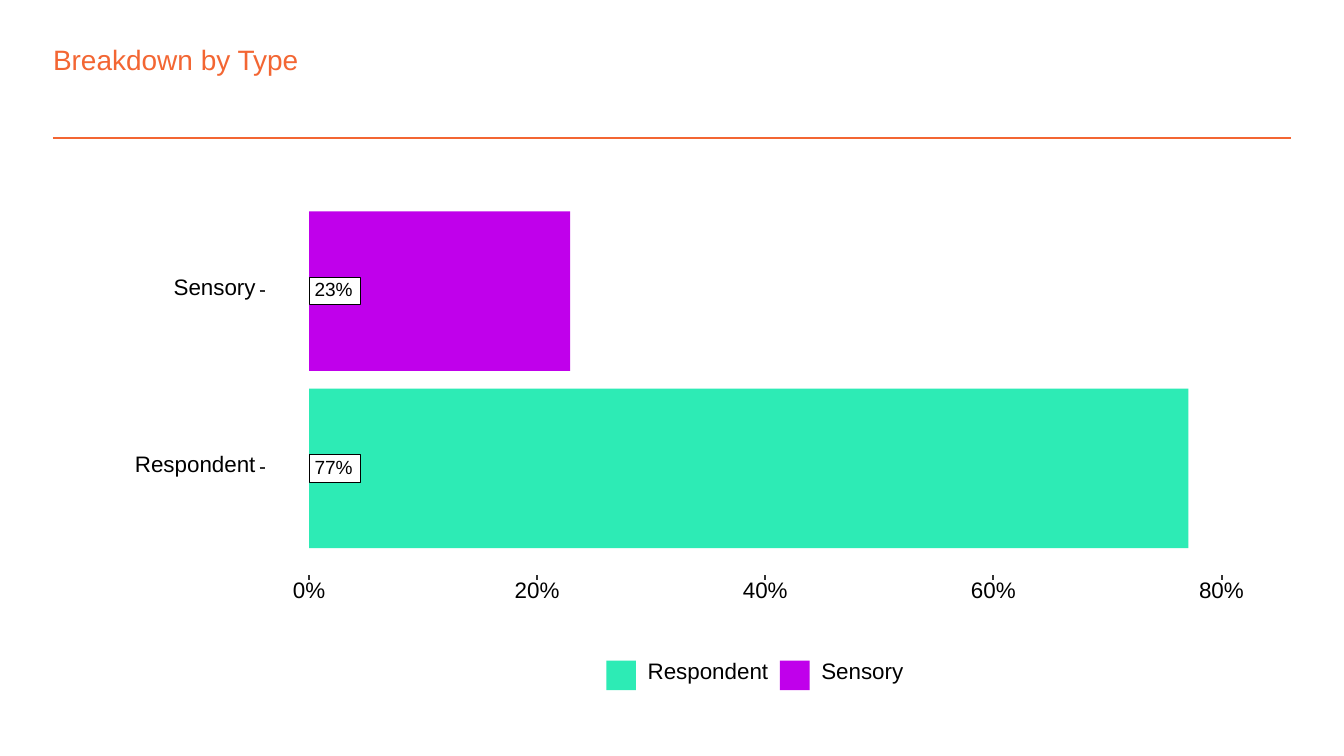
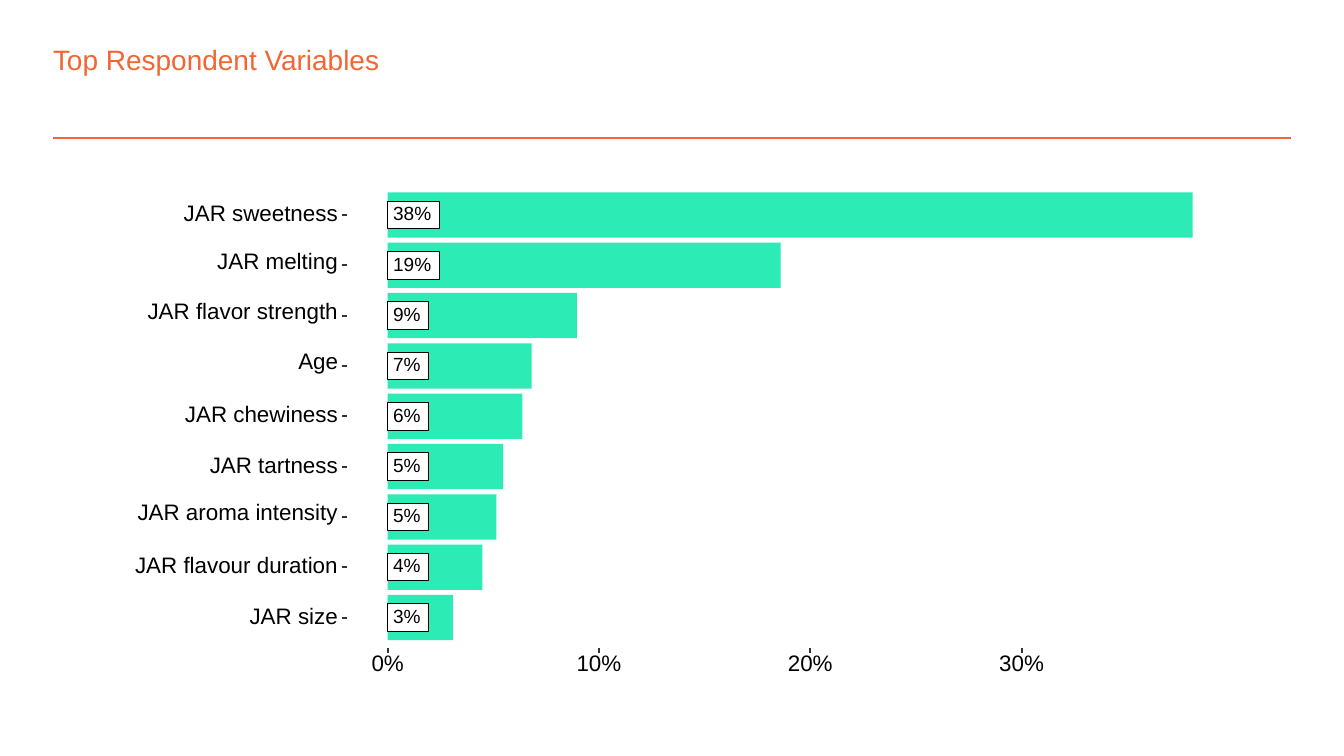
import pptx
import pptx.dml.color
import pptx.enum.shapes
import pptx.enum.text
import pptx.oxml.ns
import pptx.util
from lxml import etree

Pt = pptx.util.Pt
FONT = "Arial"
COLORS = {
    "accent": "F36633",
    "respondent": "2DEBB5",
    "sensory": "C000EB",
    "white": "FFFFFF",
    "black": "000000",
    "tick": "333333",
}
RGB = {name: pptx.dml.color.RGBColor.from_string(value) for name, value in COLORS.items()}

# Text and bar sizes shared by both charts
LABEL_SIZE = 12
VALUE_SIZE = 10.2
BAR_SHARE = 0.9
TICK_LENGTH = 2.7
TAG_HEIGHT = 14.7
TAG_PADDING = 2.9
KEY_SIZE = 15.9
TEXT_SLACK = 0.6

# Width of each category name at the label size
NAME_WIDTHS = {
    "Respondent": 64.7, "Sensory": 44, "JAR sweetness": 82.7, "JAR melting": 64.7,
    "JAR flavor strength": 102, "Age": 21.3, "JAR chewiness": 82, "JAR tartness": 68.7,
    "JAR aroma intensity": 107.4, "JAR flavour duration": 108.7, "JAR size": 47.4,
}

CHARTS = [
    {
        "title": "Breakdown by Type",
        "rows": [("Sensory", 22.9, "sensory"), ("Respondent", 77.1, "respondent")],
        "base": 165.6, "per_percent": 6.11, "first_row": 156, "row_step": 95,
        "row_tick": 139.1, "axis_top": 308.2, "axis_values": range(0, 81, 20),
        "legend": [("Respondent", "respondent", 324.8), ("Sensory", "sensory", 417.8)],
    },
    {
        "title": "Top Respondent Variables",
        "rows": [(name, value, "respondent") for name, value in [
            ("JAR sweetness", 38.1), ("JAR melting", 18.6), ("JAR flavor strength", 8.96),
            ("Age", 6.81), ("JAR chewiness", 6.38), ("JAR tartness", 5.47),
            ("JAR aroma intensity", 5.15), ("JAR flavour duration", 4.48), ("JAR size", 3.09),
        ]],
        "base": 207.7, "per_percent": 11.32, "first_row": 115.2, "row_step": 26.96,
        "row_tick": 183.2, "axis_top": 347.1, "axis_values": range(0, 31, 10),
        "legend": [],
    },
]
LEGEND_TOP = 353.9

presentation = pptx.Presentation()
presentation.slide_width = Pt(720)
presentation.slide_height = Pt(405)
title_layout = presentation.slide_layouts.get_by_name("Title Only")


def add_label(slide, text, left, middle, size=LABEL_SIZE):
    """Add one unwrapped line of text centred on a height."""
    if text in NAME_WIDTHS:
        width = NAME_WIDTHS[text]
        # Names with descenders sit a little higher
        descends = any(letter in text for letter in "gpy")
        height = 11.2 if descends else 8.8
        middle -= 1.5 if descends else 0
    else:
        width = size * (0.556 * (len(text) - 1) + 0.889)
        height = 0.78 * size
    box = slide.shapes.add_textbox(
        Pt(left), Pt(middle - height / 2), Pt(width + TEXT_SLACK), Pt(height))
    frame = box.text_frame
    frame.margin_left = frame.margin_right = frame.margin_top = frame.margin_bottom = 0
    frame.vertical_anchor = pptx.enum.text.MSO_ANCHOR.MIDDLE
    frame.word_wrap = False
    paragraph = frame.paragraphs[0]
    paragraph.line_spacing = Pt(size)
    run = paragraph.add_run()
    run.text = text
    run.font.name = FONT
    run.font.size = Pt(size)
    run.font.color.rgb = RGB["black"]


def add_line(slide, start, end, color, width):
    """Add a straight line without a shadow."""
    line = slide.shapes.add_connector(
        pptx.enum.shapes.MSO_CONNECTOR.STRAIGHT,
        Pt(start[0]), Pt(start[1]), Pt(end[0]), Pt(end[1]))
    line.line.color.rgb = RGB[color]
    line.line.width = Pt(width)
    properties = line.element.find(pptx.oxml.ns.qn("p:spPr"))
    etree.SubElement(properties, pptx.oxml.ns.qn("a:effectLst"))
    return line


for number, chart in enumerate(CHARTS):
    slide = presentation.slides.add_slide(title_layout)
    base = chart["base"]

    # Divider under the title, kept on the shared layout
    if number == 0:
        divider = add_line(slide, (28.4, 74), (691.6, 74), "accent", 1)
        title_layout.shapes.element.append(divider.element)

    # Title
    title = slide.shapes.title
    title.left, title.top, title.width, title.height = Pt(28.4), Pt(22.9), Pt(597), Pt(18)
    frame = title.text_frame
    frame.margin_left = frame.margin_right = frame.margin_top = frame.margin_bottom = 0
    frame.vertical_anchor = pptx.enum.text.MSO_ANCHOR.TOP
    frame.auto_size = pptx.enum.text.MSO_AUTO_SIZE.SHAPE_TO_FIT_TEXT
    paragraph = frame.paragraphs[0]
    paragraph.alignment = pptx.enum.text.PP_ALIGN.LEFT
    run = paragraph.add_run()
    run.text = chart["title"]
    run.font.name = FONT
    run.font.size = Pt(15)
    run.font.color.rgb = RGB["accent"]

    # Panels, bars, value tags and legend keys: left, top, width, height, fill, outline
    blocks = [(54, 93.6, 612, 288, "white", "white")]
    bar_height = BAR_SHARE * chart["row_step"]
    middles = [chart["first_row"] + row * chart["row_step"] for row in range(len(chart["rows"]))]
    for (name, value, color), middle in zip(chart["rows"], middles):
        blocks.append((base, middle - bar_height / 2, value * chart["per_percent"],
                       bar_height, color, None))
        tag_width = 27.7 if round(value) >= 10 else 22
        blocks.append((base, middle - TAG_HEIGHT / 2, tag_width, TAG_HEIGHT, "white", "black"))
    if chart["legend"]:
        blocks.append((313.2, 347.8, 176.4, 28.1, "white", "white"))
    for name, color, left in chart["legend"]:
        blocks.append((left, LEGEND_TOP, KEY_SIZE, KEY_SIZE, color, None))
    for left, top, width, height, fill, outline in blocks:
        shape = slide.shapes.add_shape(
            pptx.enum.shapes.MSO_SHAPE.RECTANGLE, Pt(left), Pt(top), Pt(width), Pt(height))
        shape.shadow.inherit = False
        shape.fill.solid()
        shape.fill.fore_color.rgb = RGB[fill]
        if outline:
            shape.line.color.rgb = RGB[outline]
            shape.line.width = Pt(0.53)
        else:
            shape.line.fill.background()

    # Values, category names and their ticks
    tick = chart["row_tick"]
    for (name, value, color), middle in zip(chart["rows"], middles):
        add_label(slide, f"{round(value)}%", base + TAG_PADDING, middle, VALUE_SIZE)
        add_label(slide, name, tick - 2.1 - NAME_WIDTHS[name], middle)
        add_line(slide, (tick, middle), (tick + TICK_LENGTH, middle), "tick", 1.07)

    # Percent axis
    axis_top = chart["axis_top"]
    for value in chart["axis_values"]:
        x = base + value * chart["per_percent"]
        text = f"{value}%"
        add_line(slide, (x, axis_top), (x, axis_top + TICK_LENGTH), "tick", 1.07)
        half_width = LABEL_SIZE * (0.556 * (len(text) - 1) + 0.889) / 2
        add_label(slide, text, x - half_width, axis_top + 9)

    # Legend names
    for name, color, left in chart["legend"]:
        add_label(slide, name, left + 22.2, LEGEND_TOP + KEY_SIZE / 2)

presentation.save("out.pptx")
